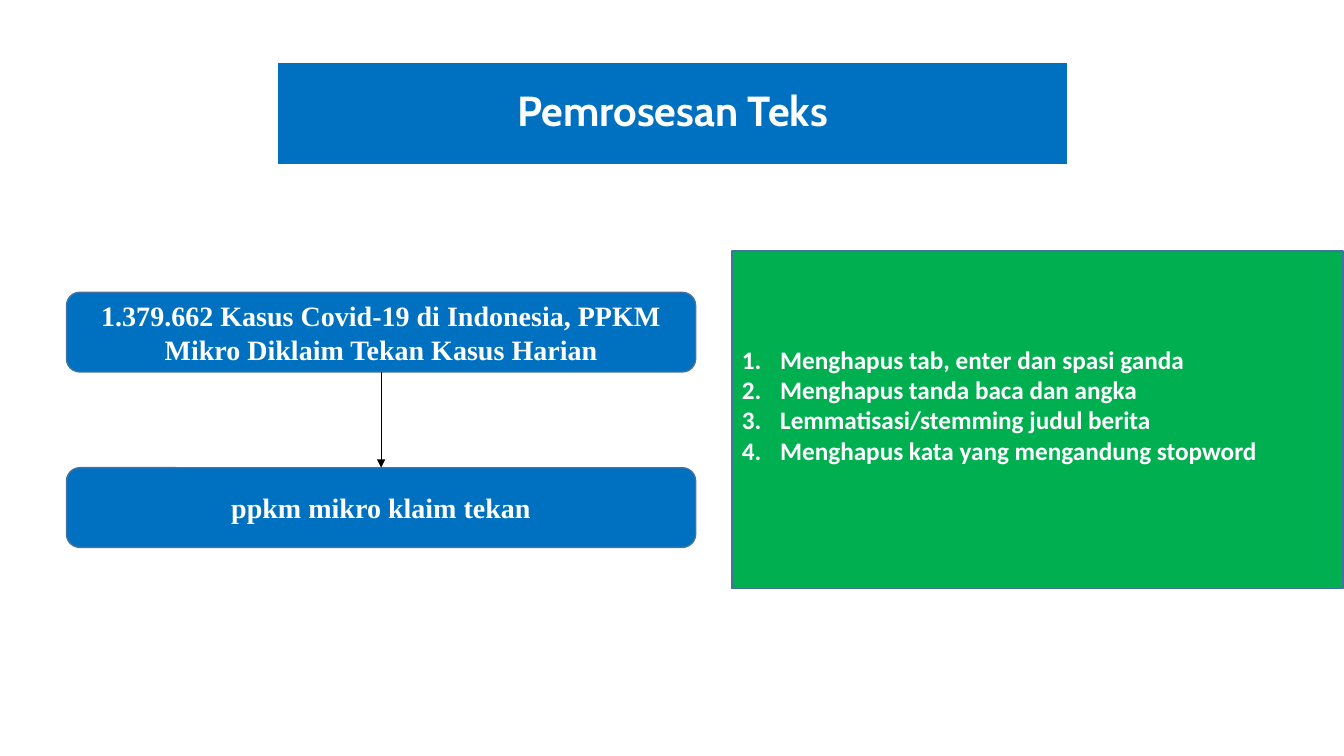
from dataclasses import dataclass

from lxml import etree
from pptx import Presentation
from pptx.dml.color import RGBColor
from pptx.enum.shapes import MSO_CONNECTOR, MSO_SHAPE
from pptx.enum.text import MSO_ANCHOR, MSO_AUTO_SIZE, PP_ALIGN
from pptx.oxml.ns import qn
from pptx.util import Inches, Pt

RECTANGLE = MSO_SHAPE.RECTANGLE
ROUNDED = MSO_SHAPE.ROUNDED_RECTANGLE
STRAIGHT = MSO_CONNECTOR.STRAIGHT
MIDDLE = MSO_ANCHOR.MIDDLE
NO_AUTOFIT = MSO_AUTO_SIZE.NONE
CENTER, LEFT = PP_ALIGN.CENTER, PP_ALIGN.LEFT
BOTTOM_SITE, TOP_SITE = 2, 0


@dataclass(frozen=True)
class Theme:
    blue: RGBColor = RGBColor(0x00, 0x70, 0xC0)
    green: RGBColor = RGBColor(0x00, 0xB0, 0x50)
    outline: RGBColor = RGBColor(0x43, 0x73, 0x9E)
    white: RGBColor = RGBColor(0xFF, 0xFF, 0xFF)
    black: RGBColor = RGBColor(0x00, 0x00, 0x00)
    title_font: str = "Cabin"
    example_font: str = "Times New Roman"
    steps_font: str = "Calibri"
    title_size: int = 30
    example_size: int = 20
    steps_size: int = 18


THEME = Theme()

HEADLINES = [
    "1.379.662 Kasus Covid-19 di Indonesia, PPKM Mikro Diklaim Tekan Kasus Harian",
    "ppkm mikro klaim tekan",
]
STEPS = [
    "Menghapus tab, enter dan spasi ganda",
    "Menghapus tanda baca dan angka",
    "Lemmatisasi/stemming judul berita",
    "Menghapus kata yang mengandung stopword",
]


def paint(shape, fill, outline):
    shape.fill.solid()
    shape.fill.fore_color.rgb = fill
    shape.line.color.rgb = outline
    shape.line.width = Pt(1)


def write(paragraph, text, font, size, align):
    paragraph.text = text
    paragraph.alignment = align
    style = {"name": font, "size": Pt(size), "bold": True}
    for attribute, value in style.items():
        setattr(paragraph.font, attribute, value)
    paragraph.font.color.rgb = THEME.white


def add_panel(slide, kind, box, fill):
    panel = slide.shapes.add_shape(kind, *(Inches(length) for length in box))
    panel.shadow.inherit = False
    paint(panel, fill, THEME.outline)
    panel.text_frame.word_wrap = True
    panel.text_frame.vertical_anchor = MIDDLE
    return panel


def place_title(slide, box, text):
    title = slide.shapes.title
    title.left, title.top, title.width, title.height = map(Inches, box)
    paint(title, THEME.blue, THEME.blue)
    title.text_frame.auto_size = NO_AUTOFIT
    title.text_frame.vertical_anchor = MIDDLE
    heading = title.text_frame.paragraphs[0]
    write(heading, text, THEME.title_font, THEME.title_size, CENTER)
    heading.line_spacing = 0.9


def add_arrow(slide, source, result):
    arrow = slide.shapes.add_connector(STRAIGHT, 0, 0, 0, 0)
    arrow.begin_connect(source, BOTTOM_SITE)
    arrow.end_connect(result, TOP_SITE)
    arrow.line.color.rgb = THEME.black
    arrow.line.width = Pt(0.5)
    # Arrowhead and no shadow
    properties = arrow.line._get_or_add_ln()
    etree.SubElement(properties, qn("a:tailEnd"), type="triangle")
    etree.SubElement(properties.getparent(), qn("a:effectLst"))


def add_example(slide, box, headlines):
    """Stack the headline before and after processing, joined by an arrow."""
    left, top, width, height = box
    box_height = 0.79
    pitch = (height - box_height) / (len(headlines) - 1)
    stages = []
    for row, headline in enumerate(headlines):
        stage_box = (left, top + row * pitch, width, box_height)
        stage = add_panel(slide, ROUNDED, stage_box, THEME.blue)
        write(stage.text_frame.paragraphs[0], headline,
              THEME.example_font, THEME.example_size, CENTER)
        stages.append(stage)
    for source, result in zip(stages, stages[1:]):
        add_arrow(slide, source, result)


def add_steps(slide, box, steps):
    """Number the processing steps, set slightly above the panel's middle."""
    frame = add_panel(slide, RECTANGLE, box, THEME.green).text_frame
    frame.margin_bottom = Inches(0.35)
    indent = Inches(0.38)
    for number, step in enumerate(steps):
        paragraph = frame.add_paragraph() if number else frame.paragraphs[0]
        properties = paragraph._p.get_or_add_pPr()
        properties.set("marL", str(indent))
        properties.set("indent", str(-indent))
        etree.SubElement(properties, qn("a:buFont"), typeface="+mj-lt")
        etree.SubElement(properties, qn("a:buAutoNum"), type="arabicPeriod")
        write(paragraph, step, THEME.steps_font, THEME.steps_size, LEFT)


def main():
    deck = Presentation()
    deck.slide_width, deck.slide_height = Inches(13.33), Inches(7.5)
    title_only = deck.slide_layouts.get_by_name("Title Only")
    slide = deck.slides.add_slide(title_only)

    place_title(slide, (2.76, 0.63, 7.82, 0.99), "Pemrosesan Teks")
    add_example(slide, (0.66, 2.9, 6.24, 2.53), HEADLINES)
    add_steps(slide, (7.26, 2.49, 6.06, 3.35), STEPS)

    deck.save("out.pptx")


if __name__ == "__main__":
    main()
